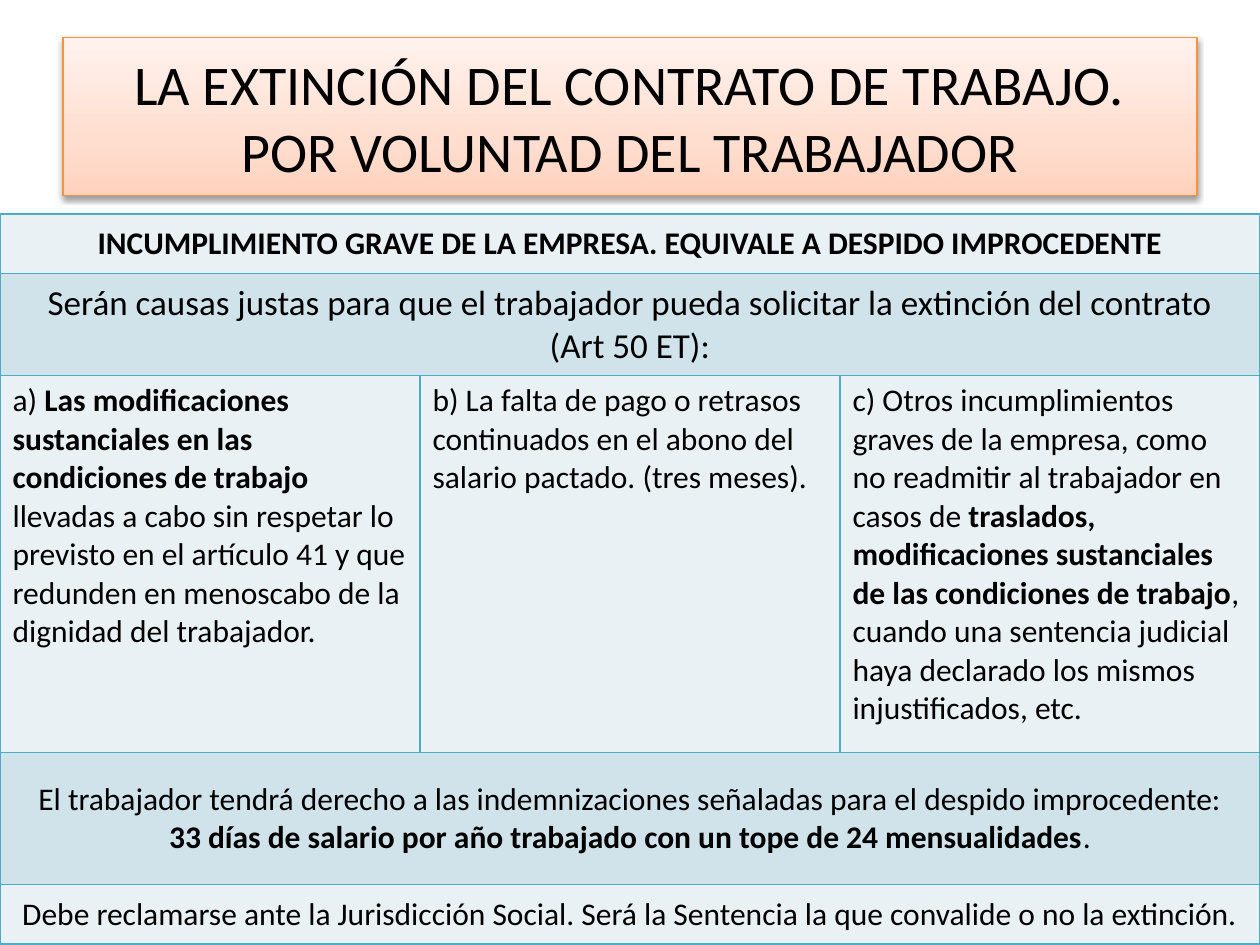
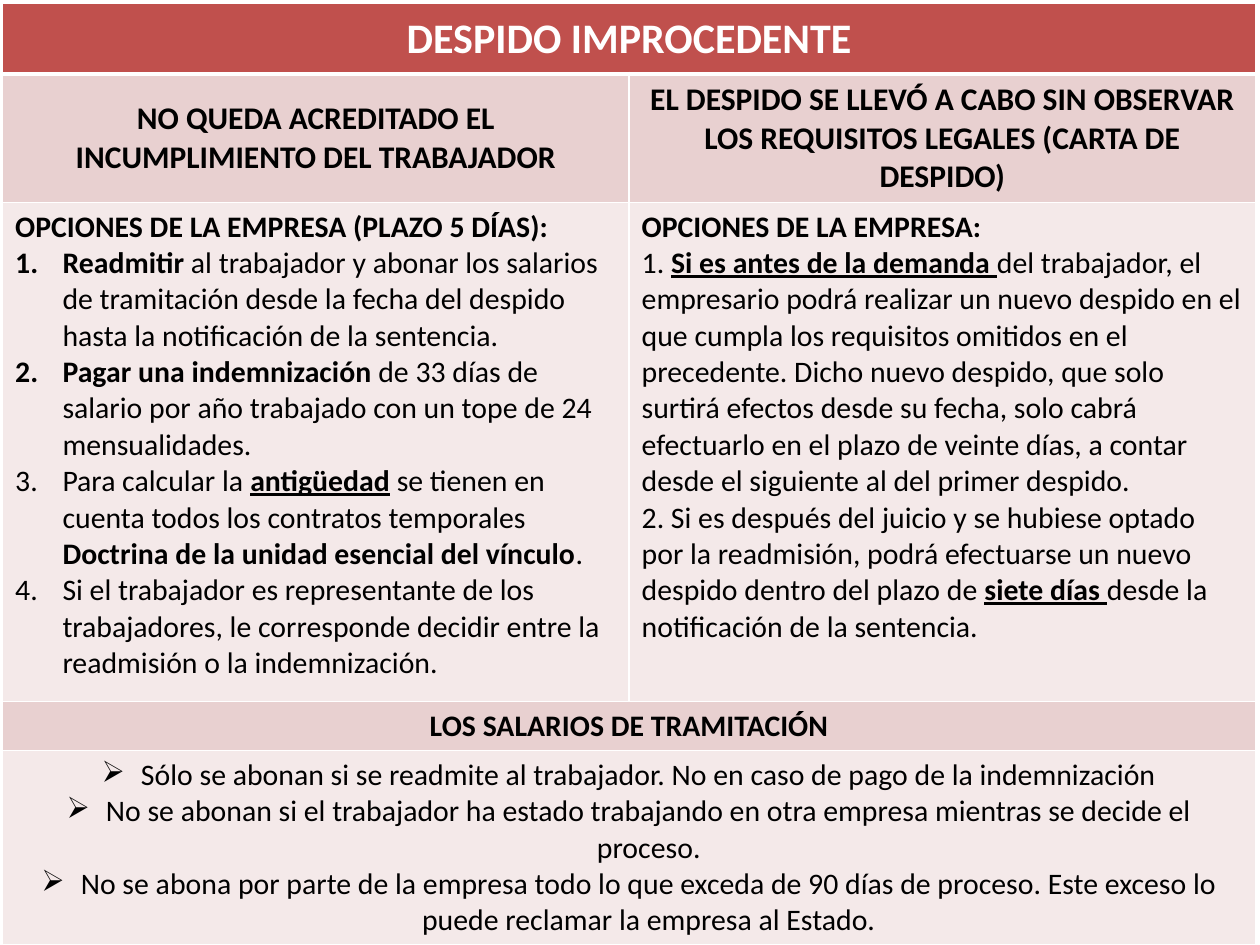
from dataclasses import dataclass
from typing import Optional

from lxml.etree import SubElement
from pptx import Presentation
from pptx.dml.color import RGBColor
from pptx.enum.text import MSO_ANCHOR, MSO_AUTO_SIZE, PP_ALIGN
from pptx.oxml.ns import qn
from pptx.slide import Slide
from pptx.table import _Cell
from pptx.text.text import _Paragraph
from pptx.util import Pt


@dataclass(frozen=True)
class Theme:
    """Colours, font and type sizes of the slides."""
    font: str = "Calibri"
    black: str = "000000"
    white: str = "FFFFFF"
    orange: str = "F69240"
    title_stops: tuple = ((0, "FFD2BD"), (35, "FFDED0"), (100, "FFF2ED"))
    teal: str = "4BACC6"
    teal_light: str = "E9F1F5"
    teal_band: str = "D0E3EA"
    red: str = "C0504D"
    red_light: str = "F4E9E9"
    red_band: str = "E8D0D0"
    title_size: int = 32
    heading_size: int = 24
    lead_size: int = 20
    text_size: int = 18
    detail_size: int = 17


THEME = Theme()


@dataclass(frozen=True)
class Span:
    """A stretch of text with one format."""
    text: str
    bold: bool = False
    underline: bool = False


@dataclass(frozen=True)
class Line:
    """A paragraph, optionally numbered or bulleted."""
    spans: tuple
    bullet: Optional[str] = None
    indent: float = 0


@dataclass(frozen=True)
class Row:
    """A table row; a single cell spans every column."""
    height: float
    fill: str
    cells: tuple
    size: int = THEME.text_size
    color: str = THEME.black
    centred: bool = True
    anchor: MSO_ANCHOR = MSO_ANCHOR.MIDDLE
    top_border: float = 1
    bottom_border: float = 1


@dataclass(frozen=True)
class TableSpec:
    """Position, columns, border colour and rows of a table."""
    left: float
    top: float
    column_width: float
    columns: int
    border: str
    rows: tuple


def plain(text: str) -> Line:
    """Return a line in regular type."""
    return Line((Span(text),))


def bold(text: str) -> Line:
    """Return a line in bold type."""
    return Line((Span(text, True),))


def numbered(*spans: Span) -> Line:
    """Return an automatically numbered line."""
    return Line(spans, "1.", 27)


def arrowed(text: str) -> Line:
    """Return a line with an arrow bullet."""
    return Line((Span(text),), "➢", 22.5)


def add_color(parent, color: str):
    """Append an RGB colour element and return it."""
    return SubElement(parent, qn("a:srgbClr"), val=color)


def add_bullet(paragraph: _Paragraph, line: Line) -> None:
    """Give a paragraph its hanging indent and bullet."""
    properties = paragraph._p.get_or_add_pPr()
    properties.set("marL", str(Pt(line.indent)))
    properties.set("indent", str(-Pt(line.indent)))
    if line.bullet == "1.":
        SubElement(properties, qn("a:buAutoNum"), type="arabicPeriod")
    else:
        SubElement(properties, qn("a:buChar"), char=line.bullet)


def add_borders(cell: _Cell, color: str, row: Row) -> None:
    """Draw the four borders of a cell."""
    properties = cell._tc.get_or_add_tcPr()
    widths = {"L": 1, "R": 1, "T": row.top_border, "B": row.bottom_border}
    for side, width in widths.items():
        border = SubElement(properties, qn(f"a:ln{side}"), w=str(Pt(width)))
        add_color(SubElement(border, qn("a:solidFill")), color)


def write_cell(cell: _Cell, lines: tuple, row: Row) -> None:
    """Write and format the lines of a cell."""
    cell.vertical_anchor = row.anchor
    for index, line in enumerate(lines):
        frame = cell.text_frame
        paragraph = frame.add_paragraph() if index else frame.paragraphs[0]
        paragraph.alignment = PP_ALIGN.CENTER if row.centred else PP_ALIGN.LEFT
        if line.bullet:
            add_bullet(paragraph, line)
        for span in line.spans:
            run = paragraph.add_run()
            run.text = span.text
            run.font.name = THEME.font
            run.font.size = Pt(row.size)
            run.font.bold = span.bold
            run.font.underline = span.underline
            run.font.color.rgb = RGBColor.from_string(row.color)


def add_table(slide: Slide, spec: TableSpec) -> None:
    """Build a table from its description."""
    height = sum(row.height for row in spec.rows)
    table = slide.shapes.add_table(
        len(spec.rows), spec.columns, Pt(spec.left), Pt(spec.top),
        Pt(spec.column_width * spec.columns), Pt(height)).table
    table.first_row = table.horz_banding = False
    for row_index, row in enumerate(spec.rows):
        table.rows[row_index].height = Pt(row.height)
        for column in range(spec.columns):
            cell = table.cell(row_index, column)
            add_borders(cell, spec.border, row)
            cell.fill.solid()
            cell.fill.fore_color.rgb = RGBColor.from_string(row.fill)
        if len(row.cells) == 1:
            table.cell(row_index, 0).merge(table.cell(row_index, spec.columns - 1))
        for column, lines in enumerate(row.cells):
            write_cell(table.cell(row_index, column), lines, row)


def format_title(slide: Slide, text: str) -> None:
    """Place the title in a shaded, shadowed box."""
    title = slide.shapes.title
    title.left, title.top, title.width, title.height = Pt(36), Pt(21.6), Pt(648), Pt(90)
    title.fill.gradient()
    title.fill.gradient_angle = 90
    stops = title._element.spPr.find(".//" + qn("a:gsLst"))
    stops.clear()
    for position, color in THEME.title_stops:
        add_color(SubElement(stops, qn("a:gs"), pos=str(position * 1000)), color)
    title.line.color.rgb = RGBColor.from_string(THEME.orange)
    title.line.width = Pt(0.75)
    title.shadow.inherit = False
    effects = title._element.spPr.find(qn("a:effectLst"))
    shadow = SubElement(effects, qn("a:outerShdw"), blurRad=str(Pt(3.1)),
                        dist=str(Pt(1.6)), dir="5400000", rotWithShape="0")
    SubElement(add_color(shadow, THEME.black), qn("a:alpha"), val="38000")
    frame = title.text_frame
    frame.text = text
    frame.auto_size = MSO_AUTO_SIZE.NONE
    frame.vertical_anchor = MSO_ANCHOR.MIDDLE
    paragraph = frame.paragraphs[0]
    paragraph.alignment = PP_ALIGN.CENTER
    for run in paragraph.runs:
        run.font.name = THEME.font
        run.font.size = Pt(THEME.title_size)
        run.font.color.rgb = RGBColor.from_string(THEME.black)


WORKER_CAUSES = TableSpec(0, 122.4, 240, 3, THEME.teal, (
    Row(34, THEME.teal_light, (
        (bold("INCUMPLIMIENTO GRAVE DE LA EMPRESA. EQUIVALE A DESPIDO IMPROCEDENTE"),),)),
    Row(58.3, THEME.teal_band, (
        (plain("Serán causas justas para que el trabajador pueda solicitar la extinción "
               "del contrato"),
         plain("(Art 50 ET):")),), size=THEME.lead_size),
    Row(215.3, THEME.teal_light, (
        (Line((Span("a) "),
               Span("Las modificaciones sustanciales en las condiciones de trabajo", True),
               Span(" llevadas a cabo sin respetar lo previsto en el artículo 41 y que "
                    "redunden en menoscabo de la dignidad del trabajador."))),),
        (plain("b) La falta de pago o retrasos continuados en el abono del salario "
               "pactado. (tres meses)."),),
        (Line((Span("c) Otros incumplimientos graves de la empresa, como no readmitir al "
                    "trabajador en casos de "),
               Span("traslados, modificaciones sustanciales de las condiciones de trabajo",
                    True),
               Span(", cuando una sentencia judicial haya declarado los mismos "
                    "injustificados, etc."))),),
    ), centred=False, anchor=MSO_ANCHOR.TOP),
    Row(75.6, THEME.teal_band, (
        (plain("El trabajador tendrá derecho a las indemnizaciones señaladas para el "
               "despido improcedente:"),
         Line((Span("33 días de salario por año trabajado con un tope de 24 mensualidades",
                    True), Span(".")))),)),
    Row(34, THEME.teal_light, (
        (plain("Debe reclamarse ante la Jurisdicción Social. Será la Sentencia la que "
               "convalide o no la extinción."),),)),
))

UNFAIR_DISMISSAL = TableSpec(1.5, 2, 358, 2, THEME.white, (
    Row(40.3, THEME.red, ((bold("DESPIDO IMPROCEDENTE"),),), size=THEME.heading_size,
        color=THEME.white, bottom_border=3),
    Row(73.4, THEME.red_band, (
        (bold("NO QUEDA ACREDITADO EL INCUMPLIMIENTO DEL TRABAJADOR"),),
        (bold("EL DESPIDO SE LLEVÓ A CABO SIN OBSERVAR LOS REQUISITOS LEGALES "
              "(CARTA DE DESPIDO)"),)), top_border=3),
    Row(285.3, THEME.red_light, (
        (bold("OPCIONES DE LA EMPRESA (PLAZO 5 DÍAS):"),
         numbered(Span("Readmitir ", True),
                  Span("al trabajador y abonar los salarios de tramitación desde la fecha "
                       "del despido hasta la notificación de la sentencia.")),
         numbered(Span("Pagar una indemnización ", True),
                  Span("de 33 días de salario por año trabajado con un tope de 24 "
                       "mensualidades.")),
         numbered(Span("Para calcular la "), Span("antigüedad", True, True),
                  Span(" se tienen en cuenta todos los contratos temporales "),
                  Span("Doctrina de la unidad esencial del vínculo", True), Span(".")),
         numbered(Span("Si el trabajador es representante de los trabajadores, le "
                       "corresponde decidir entre la readmisión o la indemnización."))),
        (bold("OPCIONES DE LA EMPRESA:"),
         Line((Span("1. "), Span("Si es antes de la demanda ", True, True),
               Span("del trabajador, el empresario podrá realizar un nuevo despido en el "
                    "que cumpla los requisitos omitidos en el precedente. Dicho nuevo "
                    "despido, que solo surtirá efectos desde su fecha, solo cabrá "
                    "efectuarlo en el plazo de veinte días, a contar desde el siguiente "
                    "al del primer despido."))),
         Line((Span("2. Si es después del juicio y se hubiese optado por la readmisión, "
                    "podrá efectuarse un nuevo despido dentro del plazo de "),
               Span("siete días ", True, True),
               Span("desde la notificación de la sentencia.")))),
    ), size=THEME.detail_size, centred=False, anchor=MSO_ANCHOR.TOP),
    Row(28, THEME.red_band, ((bold("LOS SALARIOS DE TRAMITACIÓN"),),),
        size=THEME.detail_size),
    Row(110.9, THEME.red_light, (
        (arrowed("Sólo se abonan si se readmite al trabajador. No en caso de pago de la "
                 "indemnización"),
         arrowed("No se abonan si el trabajador ha estado trabajando en otra empresa "
                 "mientras se decide el proceso."),
         arrowed("No se abona por parte de la empresa todo lo que exceda de 90 días de "
                 "proceso. Este exceso lo puede reclamar la empresa al Estado.")),
    ), size=THEME.detail_size, anchor=MSO_ANCHOR.TOP),
))


def main() -> None:
    """Build and save the presentation."""
    presentation = Presentation()
    presentation.slide_width, presentation.slide_height = Pt(720), Pt(540)
    title_only, blank = presentation.slide_layouts[5], presentation.slide_layouts[6]
    causes_slide = presentation.slides.add_slide(title_only)
    format_title(causes_slide,
                 "LA EXTINCIÓN DEL CONTRATO DE TRABAJO.\vPOR VOLUNTAD DEL TRABAJADOR")
    add_table(causes_slide, WORKER_CAUSES)
    add_table(presentation.slides.add_slide(blank), UNFAIR_DISMISSAL)
    presentation.save("out.pptx")


if __name__ == "__main__":
    main()
